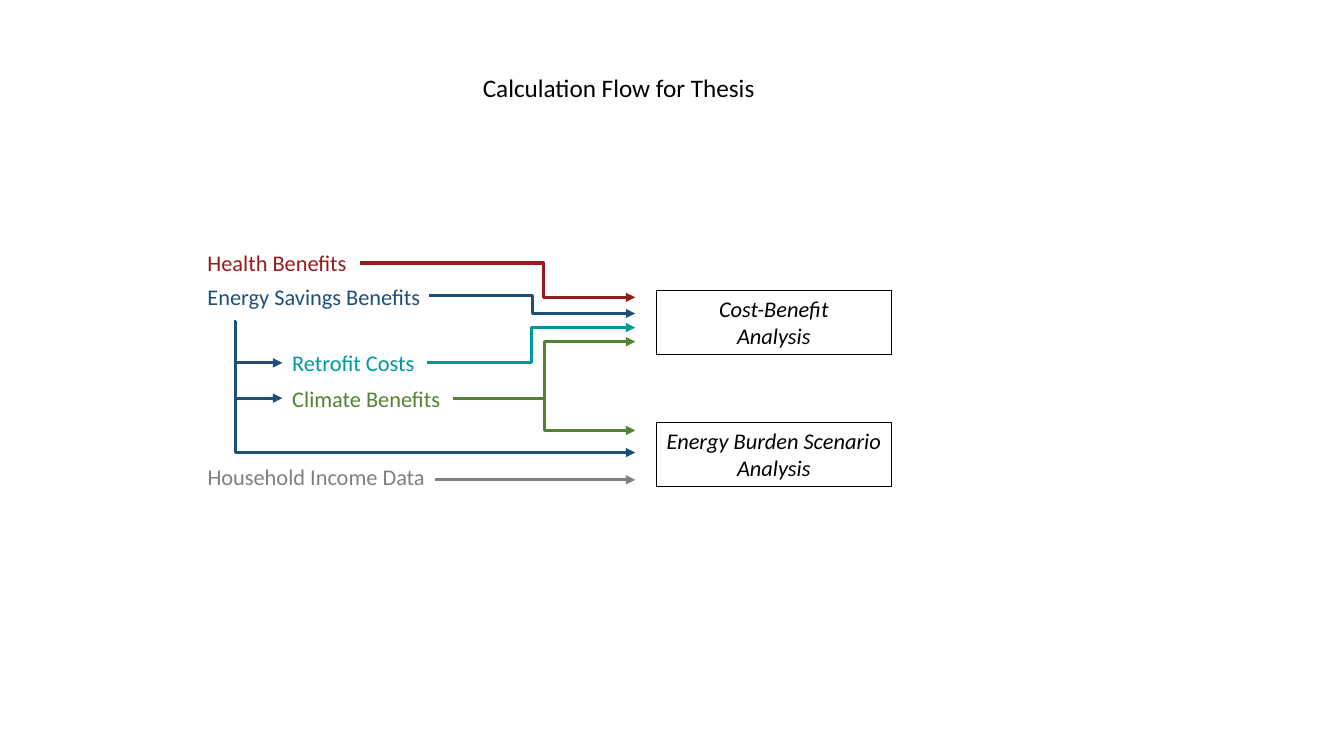
from lxml.etree import SubElement
from pptx import Presentation
from pptx.dml.color import RGBColor
from pptx.enum.shapes import MSO_CONNECTOR, MSO_SHAPE
from pptx.enum.text import MSO_ANCHOR, MSO_AUTO_SIZE, PP_ALIGN
from pptx.oxml.ns import qn
from pptx.util import Inches, Pt

COLORS = {
    "health": "941C1C",
    "energy": "1F4E79",
    "retrofit": "009999",
    "climate": "548235",
    "income": "808080",
    "black": "000000",
}
FONT = "Calibri"
LABEL_HEIGHT = 0.37
TRUNK_X = 0.36
INDENT_X = 0.84
ENTRY_X = 4.34
RESULT_X = 4.55
RETROFIT_Y = 1.18
CLIMATE_Y = 1.53

LABELS = [
    ("Health Benefits", "health", 0, 0, 1.6),
    ("Energy Savings Benefits", "energy", 0, 0.34, 2.34),
    ("Retrofit Costs", "retrofit", INDENT_X, 0.99, 1.43),
    ("Climate Benefits", "climate", INDENT_X, 1.35, 1.69),
    ("Household Income Data", "income", 0, 2.13, 2.38),
]
RESULTS = [
    ("Cost-Benefit\nAnalysis", 0.46),
    ("Energy Burden Scenario Analysis", 1.77),
]
ARROWS = [
    ("health", (1.61, 0.19), (ENTRY_X, 0.53), 3.43),
    ("climate", (2.53, CLIMATE_Y), (ENTRY_X, 0.97), 3.44),
    ("climate", (2.53, CLIMATE_Y), (ENTRY_X, 1.85), 3.44),
    ("energy", (TRUNK_X, 0.77), (ENTRY_X, 2.07), 0.37),
    ("income", (2.35, 2.34), (ENTRY_X, 2.34), None),
    ("energy", (2.3, 0.51), (ENTRY_X, 0.69), 3.32),
    ("retrofit", (2.28, RETROFIT_Y), (ENTRY_X, 0.83), 3.31),
    ("energy", (TRUNK_X, RETROFIT_Y), (INDENT_X, RETROFIT_Y), None),
    ("energy", (TRUNK_X, CLIMATE_Y), (INDENT_X, CLIMATE_Y), None),
]


def color(name):
    return RGBColor.from_string(COLORS[name])


def write_text(shape, text, size, color_name, italic=False, align=PP_ALIGN.LEFT):
    shape.text_frame.text = text
    for para in shape.text_frame.paragraphs:
        para.alignment = align
        for span in para.runs:
            span.font.name = FONT
            span.font.size = Pt(size)
            span.font.italic = italic
            span.font.color.rgb = color(color_name)


def add_label(page, box, text, size, color_name):
    label = page.shapes.add_textbox(*map(Inches, box))
    write_text(label, text, size, color_name)
    label.text_frame.word_wrap = False
    label.text_frame.auto_size = MSO_AUTO_SIZE.SHAPE_TO_FIT_TEXT


def add_result(page, box, text):
    result = page.shapes.add_shape(MSO_SHAPE.RECTANGLE, *map(Inches, box))
    result.shadow.inherit = False
    result.fill.background()
    result.line.color.rgb = color("black")
    result.line.width = Pt(0.75)
    write_text(result, text, 16, "black", True, PP_ALIGN.CENTER)
    result.text_frame.word_wrap = True
    result.text_frame.vertical_anchor = MSO_ANCHOR.TOP


def add_arrow(page, start, end, turn, color_name):
    kind = MSO_CONNECTOR.STRAIGHT if turn is None else MSO_CONNECTOR.ELBOW
    arrow = page.shapes.add_connector(kind, *map(Inches, (*start, *end)))
    arrow.line.color.rgb = color(color_name)
    arrow.line.width = Pt(2.25)
    properties = arrow._element.spPr
    SubElement(arrow.line._get_or_add_ln(), qn("a:tailEnd"), type="triangle")
    SubElement(properties, qn("a:effectLst"))
    if turn is not None:
        share = round((turn - start[0]) / (end[0] - start[0]) * 100000)
        guides = properties.find(qn("a:prstGeom")).get_or_add_avLst()
        SubElement(guides, qn("a:gd"), name="adj1", fmla=f"val {share}")


def add_flow(page, left, top):
    for text, color_name, x, y, width in LABELS:
        add_label(page, (left + x, top + y, width, LABEL_HEIGHT), text, 16, color_name)
    for text, y in RESULTS:
        add_result(page, (left + RESULT_X, top + y, 2.33, 0.64), text)
    for color_name, (x1, y1), (x2, y2), turn in ARROWS:
        turn_x = None if turn is None else left + turn
        add_arrow(page, (left + x1, top + y1), (left + x2, top + y2), turn_x, color_name)


def main():
    deck = Presentation()
    deck.slide_width = Inches(13.33)
    deck.slide_height = Inches(7.5)
    page = deck.slides.add_slide(deck.slide_layouts[6])
    add_label(page, (4.69, 0.67, 2.93, 0.4), "Calculation Flow for Thesis", 18, "black")
    add_flow(page, 1.96, 2.42)
    deck.save("out.pptx")


if __name__ == "__main__":
    main()
